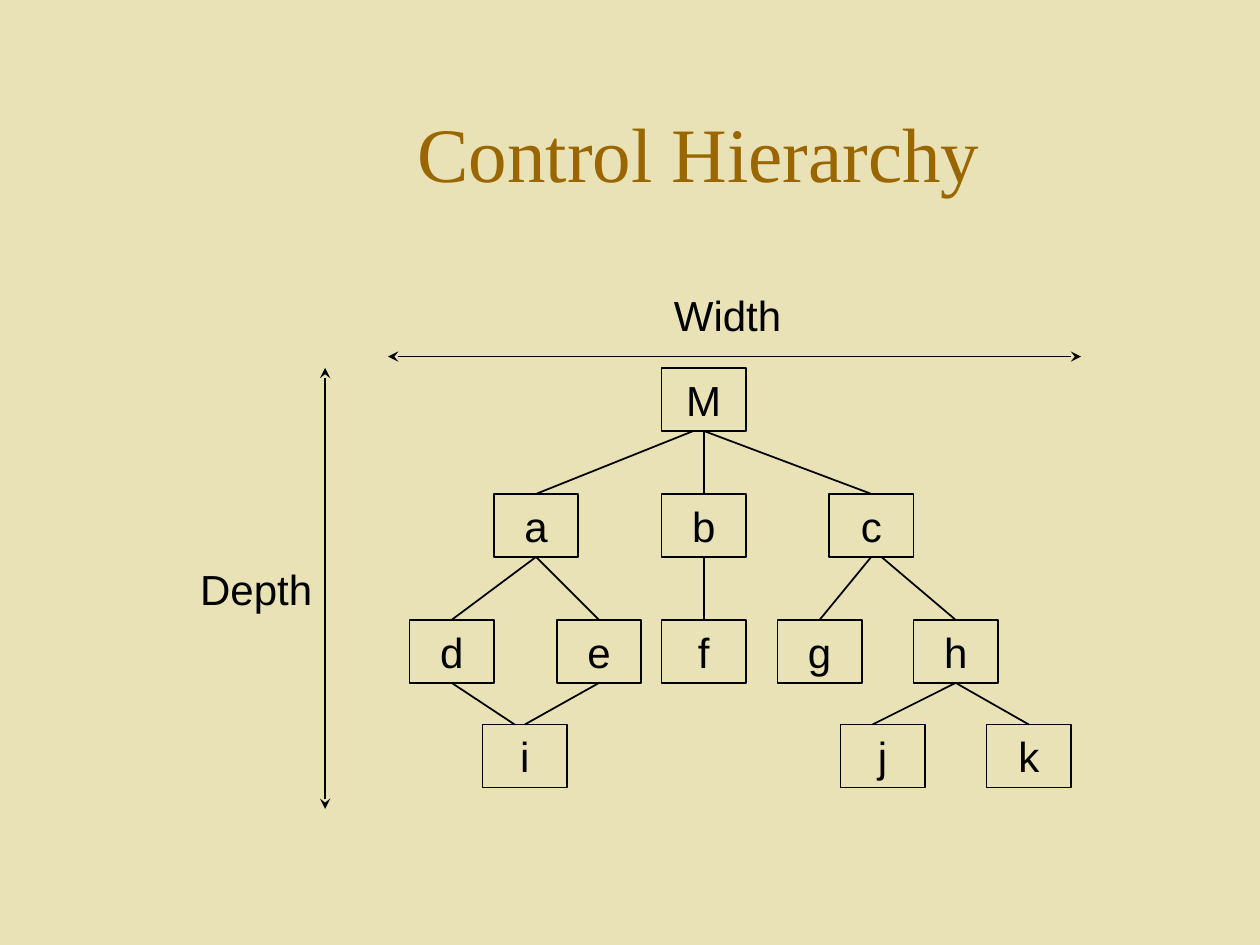
from pptx import Presentation
from pptx import util as u
from pptx.dml.color import RGBColor
from pptx.enum import shapes, text
from pptx.oxml.ns import qn
from lxml import etree

BOX_W, BOX_H = 0.67, 0.5

# Level tops, and the left edge of each module on that level
LEVELS = {
    2.92: {"M": 5.25},
    3.92: {"a": 3.92, "b": 5.25, "c": 6.58},
    4.92: {"d": 3.25, "e": 4.42, "f": 5.25, "g": 6.17, "h": 7.25},
    5.75: {"i": 3.83, "j": 6.67, "k": 7.83},
}

# Caller, called module, sideways shift of the start and of the end
CALLS = [
    ("M", "b", 0, 0), ("M", "a", -0.08, 0), ("M", "c", 0, 0),
    ("b", "f", 0, 0), ("a", "d", 0, 0), ("a", "e", 0, 0),
    ("c", "g", 0, 0), ("c", "h", 0.08, 0),
    ("d", "i", 0, -0.08), ("e", "i", 0, 0),
    ("h", "j", 0, -0.08), ("h", "k", 0, 0),
]


def color(value):
    return RGBColor.from_string(value)


class HierarchySlide:
    ink, paper, accent = "000000", "E9E2B6", "996600"
    label_font = {"name": "Arial", "size": u.Pt(24)}
    title_font = {"name": "Times New Roman", "size": u.Pt(44)}

    def __init__(self, deck):
        self.slide = deck.slides.add_slide(deck.slide_layouts[5])
        background = self.slide.background.fill
        background.solid()
        background.fore_color.rgb = color(self.paper)

    def set_words(self, shape, words, font, ink, align, **frame_format):
        frame = shape.text_frame
        for key, value in frame_format.items():
            setattr(frame, key, value)
        paragraph = frame.paragraphs[0]
        paragraph.alignment = align
        run = paragraph.add_run()
        run.text = words
        for key, value in font.items():
            setattr(run.font, key, value)
        run.font.color.rgb = color(ink)

    def title(self, words, left, top, width, height):
        heading = self.slide.shapes.title
        place = {"left": left, "top": top, "width": width, "height": height}
        for key, value in place.items():
            setattr(heading, key, u.Inches(value))
        self.set_words(heading, words, self.title_font, self.accent,
                       text.PP_ALIGN.CENTER,
                       auto_size=text.MSO_AUTO_SIZE.NONE,
                       vertical_anchor=text.MSO_ANCHOR.MIDDLE)

    def module(self, name, left, top):
        box = self.slide.shapes.add_shape(
            shapes.MSO_SHAPE.RECTANGLE,
            *map(u.Inches, (left, top, BOX_W, BOX_H)))
        box.shadow.inherit = False
        box.fill.background()
        box.line.color.rgb = color(self.ink)
        box.line.width = u.Pt(1)
        self.set_words(box, name, self.label_font, self.ink,
                       text.PP_ALIGN.CENTER, word_wrap=False,
                       vertical_anchor=text.MSO_ANCHOR.MIDDLE)

    def line(self, x1, y1, x2, y2, arrows=False):
        link = self.slide.shapes.add_connector(
            shapes.MSO_CONNECTOR.STRAIGHT, *map(u.Inches, (x1, y1, x2, y2)))
        link.line.color.rgb = color(self.ink)
        link.line.width = u.Pt(1)
        properties = link._element.spPr
        if arrows:
            stroke = properties.find(qn("a:ln"))
            for end in ("a:headEnd", "a:tailEnd"):
                etree.SubElement(stroke, qn(end), type="stealth")
        etree.SubElement(properties, qn("a:effectLst"))

    def label(self, words, left, top, width):
        caption = self.slide.shapes.add_textbox(
            *map(u.Inches, (left, top, width, 0.5)))
        self.set_words(caption, words, self.label_font, self.ink,
                       text.PP_ALIGN.LEFT, word_wrap=False,
                       auto_size=text.MSO_AUTO_SIZE.SHAPE_TO_FIT_TEXT)


def main():
    deck = Presentation()
    deck.slide_width, deck.slide_height = u.Inches(10), u.Inches(7.5)
    page = HierarchySlide(deck)
    page.title("Control Hierarchy ", 1.5, 0.58, 8.25, 1.25)

    # Modules
    places = {}
    for top, level in LEVELS.items():
        for name, left in level.items():
            page.module(name, left, top)
            places[name] = (left + BOX_W / 2, top)

    # Calls, from the bottom of a box to the top of the next
    for caller, called, start_shift, end_shift in CALLS:
        start_x, start_top = places[caller]
        end_x, end_top = places[called]
        page.line(start_x + start_shift, start_top + BOX_H,
                  end_x + end_shift, end_top)

    # Depth and width measures
    page.line(2.58, 2.92, 2.58, 6.42, arrows=True)
    page.line(3.08, 2.83, 8.58, 2.83, arrows=True)
    page.label("Width", 5.25, 2.25, 1.05)
    page.label("Depth", 1.49, 4.42, 1.09)

    deck.save("out.pptx")


if __name__ == "__main__":
    main()
